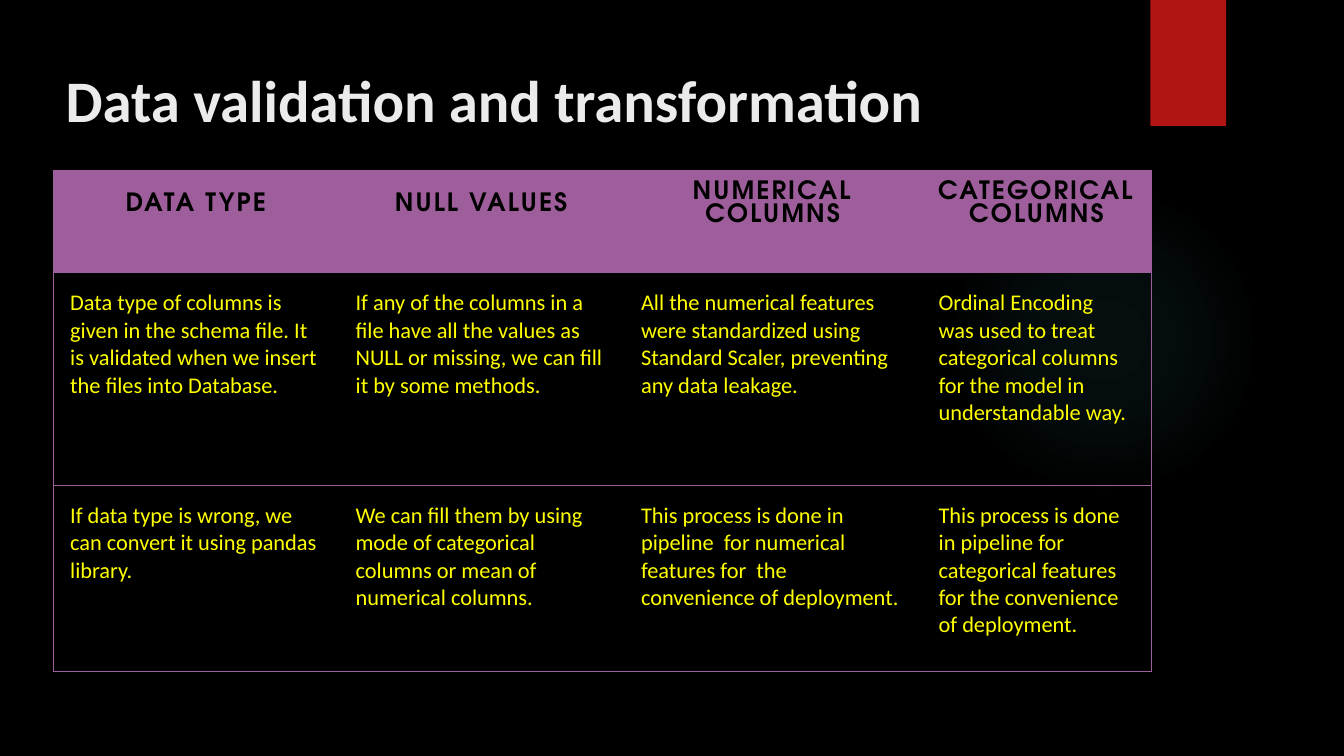
from collections import namedtuple
from lxml.etree import SubElement
from pptx import Presentation
from pptx.dml.color import RGBColor
from pptx.enum.shapes import MSO_SHAPE
from pptx.enum.text import MSO_ANCHOR, PP_ALIGN
from pptx.oxml.ns import qn
from pptx.util import Inches, Pt

Box = namedtuple("Box", "left top width height")

BLACK, RED, TEAL, PURPLE = "000000", "B01513", "50B9C1", "9E5E9B"
YELLOW, PALE = "FFFF00", "EBEBEB"
BODY_FONT, HEADING_FONT = "Calibri", "TeX Gyre Adventor"
PLAIN_TABLE_STYLE = "{2D5ABB26-0587-4C30-8999-92F81FD0307C}"
COLUMN_WIDTHS = (2.83, 2.83, 2.95, 2.28)
ROW_HEIGHTS = (1.01, 2.11, 1.85)
GLOW_STOPS = ((0, 7), (36, 6), (69, 0))

ROWS = (
    ("DATA TYPE", "NULL VALUES", "NUMERICAL COLUMNS", "CATEGORICAL COLUMNS"),
    (
        "Data type of columns is given in the schema file. It is validated when we insert the files into Database.",
        "If any of the columns in a file have all the values as NULL or missing, we can fill it by some methods.",
        "All the numerical features were standardized using Standard Scaler, preventing any data leakage.",
        "Ordinal Encoding  was used to treat categorical columns for the model in understandable way.",
    ),
    (
        "If data type is wrong, we can convert it using pandas library.",
        "We can fill them by using mode of categorical columns or mean of numerical columns.",
        "This process is done in pipeline  for numerical features for  the convenience of deployment.",
        "This process is done in pipeline for  categorical features for the convenience of deployment.",
    ),
)


def color(value):
    return RGBColor.from_string(value)


def percent_box(left, top, width, height):
    return Box(
        int(presentation.slide_width * left / 100),
        int(presentation.slide_height * top / 100),
        int(presentation.slide_width * width / 100),
        int(presentation.slide_height * height / 100),
    )


def format_runs(paragraph, font_name, size, value, bold=False):
    for run in paragraph.runs:
        run.font.name = font_name
        run.font.size = Pt(size)
        run.font.bold = bold
        run.font.color.rgb = color(value)


def add_plain_shape(slide, kind, box, value):
    shape = slide.shapes.add_shape(kind, *box)
    shape.shadow.inherit = False
    shape.fill.solid()
    shape.fill.fore_color.rgb = color(value)
    shape.line.fill.background()
    return shape


def add_glow(slide, box):
    shape = add_plain_shape(slide, MSO_SHAPE.OVAL, box, TEAL)
    shape.fill.gradient()
    gradient = shape.element.spPr.find(qn("a:gradFill"))
    for child in list(gradient):
        gradient.remove(child)
    stops = SubElement(gradient, qn("a:gsLst"))
    for position, opacity in GLOW_STOPS:
        stop = SubElement(stops, qn("a:gs"), pos=str(position * 1000))
        stop_color = SubElement(stop, qn("a:srgbClr"), val=TEAL)
        SubElement(stop_color, qn("a:alpha"), val=str(opacity * 1000))
    radial = SubElement(gradient, qn("a:path"), path="circle")
    SubElement(radial, qn("a:fillToRect"), l="50000", t="50000", r="50000", b="50000")


def add_title(slide, box):
    title = slide.shapes.title
    title.left, title.top, title.width, title.height = box
    title.text_frame.text = "Data validation and transformation"
    title.text_frame.vertical_anchor = MSO_ANCHOR.MIDDLE
    paragraph = title.text_frame.paragraphs[0]
    paragraph.alignment = PP_ALIGN.LEFT
    format_runs(paragraph, BODY_FONT, 42, PALE, bold=True)


def set_borders(cell, sides):
    properties = cell._tc.get_or_add_tcPr()
    for index, side in enumerate(sides):
        line = SubElement(properties, qn(f"a:ln{side}"), w=str(Pt(0.75)))
        fill = SubElement(line, qn("a:solidFill"))
        SubElement(fill, qn("a:srgbClr"), val=PURPLE)
        properties.insert(index, line)


def format_header(cell):
    cell.fill.solid()
    cell.fill.fore_color.rgb = color(PURPLE)
    cell.vertical_anchor = MSO_ANCHOR.MIDDLE
    cell.margin_bottom = Inches(0.4)
    paragraph = cell.text_frame.paragraphs[0]
    paragraph.alignment = PP_ALIGN.CENTER
    paragraph.line_spacing = 1.0
    format_runs(paragraph, HEADING_FONT, 18, BLACK, bold=True)
    for run in paragraph.runs:
        run.font._element.set("spc", "150")


def format_body(cell):
    cell.fill.background()
    cell.margin_left = cell.margin_right = Inches(0.17)
    cell.margin_top = cell.margin_bottom = Inches(0.17)
    format_runs(cell.text_frame.paragraphs[0], BODY_FONT, 16, YELLOW)


def add_methods_table(slide, box):
    frame = slide.shapes.add_table(len(ROWS), len(ROWS[0]), *box)
    table = frame.table
    table._tbl.tblPr.find(qn("a:tableStyleId")).text = PLAIN_TABLE_STYLE
    table.horz_banding = False
    for column, width in zip(table.columns, COLUMN_WIDTHS):
        column.width = int(box.width * width / sum(COLUMN_WIDTHS))
    for row, height in zip(table.rows, ROW_HEIGHTS):
        row.height = int(box.height * height / sum(ROW_HEIGHTS))
    last_column = len(COLUMN_WIDTHS) - 1
    for row_index, texts in enumerate(ROWS):
        for column_index, text in enumerate(texts):
            cell = table.cell(row_index, column_index)
            cell.text_frame.text = text
            if row_index == 0:
                format_header(cell)
            else:
                format_body(cell)
            left = "L" if column_index == 0 else ""
            right = "R" if column_index == last_column else ""
            set_borders(cell, left + right + "TB")


def build_slide():
    slide = presentation.slides.add_slide(presentation.slide_layouts[5])
    slide.background.fill.solid()
    slide.background.fill.fore_color.rgb = color(BLACK)
    add_glow(slide, percent_box(70.6, 24.4, 23.1, 41.07))
    add_plain_shape(slide, MSO_SHAPE.RECTANGLE, percent_box(85.6, 0, 5.63, 16.67), RED)
    add_title(slide, percent_box(4.13, 7.73, 73.14, 10.8))
    add_methods_table(slide, percent_box(3.95, 22.6, 81.73, 66.2))


presentation = Presentation()
presentation.slide_width = Inches(13.33)
presentation.slide_height = Inches(7.5)
build_slide()
presentation.save("out.pptx")
